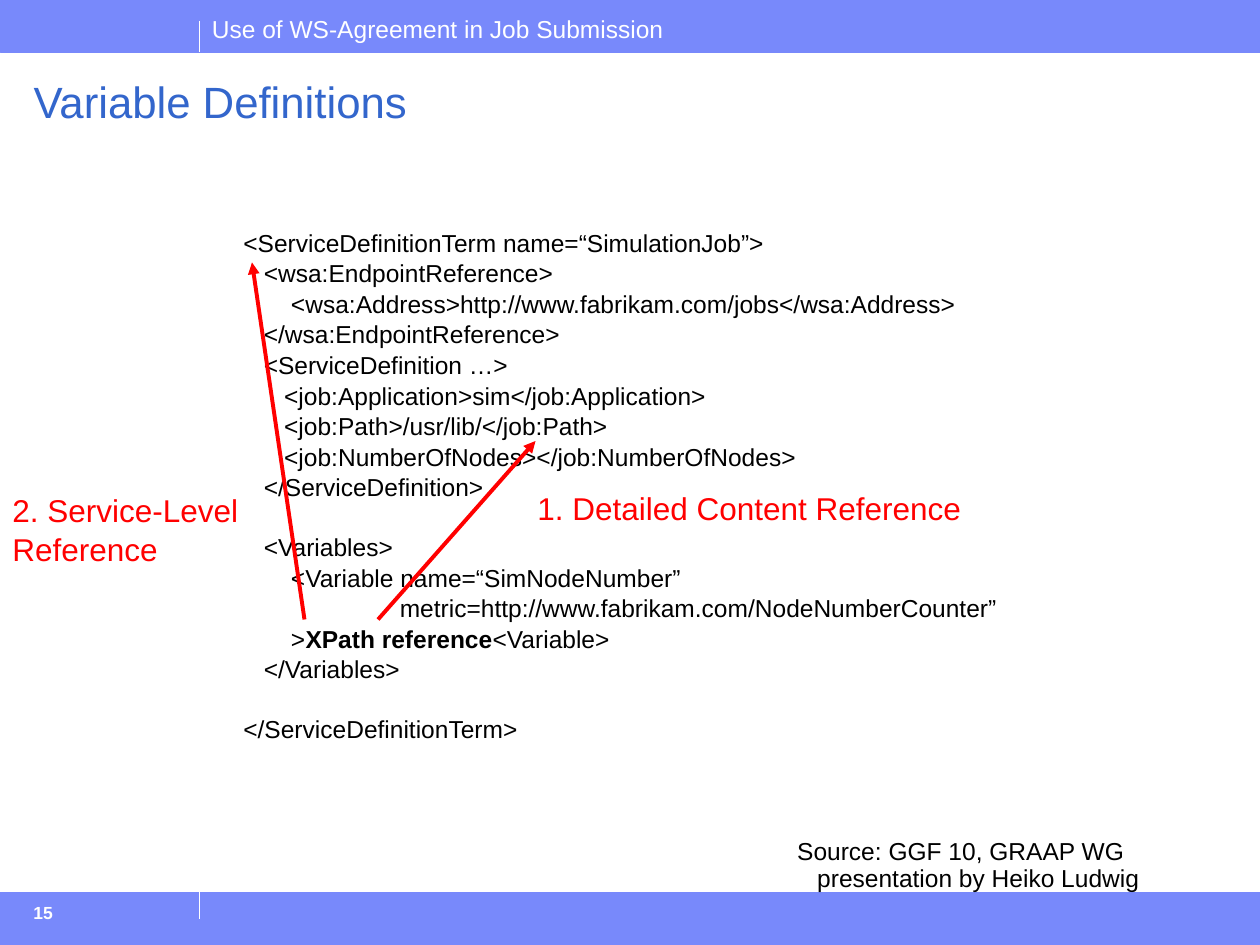
from typing import NamedTuple

from lxml import etree
from pptx import Presentation
from pptx import util as u
from pptx.dml.color import RGBColor
from pptx.enum import shapes, text
from pptx.oxml.ns import qn

BLUE = RGBColor(0x78, 0x89, 0xFB)
TITLE = RGBColor(0x33, 0x66, 0xCC)
RED = RGBColor(0xFF, 0, 0)
BLACK = RGBColor(0, 0, 0)
WHITE = RGBColor(0xFF, 0xFF, 0xFF)
FONT = "Arial"
CELL = u.Inches(1) // 12  # grid of 120 columns by 90 rows
COLS, ROWS, BAND, RULE = 120, 90, 5, 19
LEAD = 1.045


class Area(NamedTuple):
    col: float
    row: float
    wide: float
    high: float


class Line(NamedTuple):
    start: tuple
    end: tuple
    color: RGBColor
    width: float
    arrow: bool


class Label(NamedTuple):
    words: str
    area: Area
    style: dict


CODE = """<ServiceDefinitionTerm name=“SimulationJob”>
   <wsa:EndpointReference>
       <wsa:Address>http://www.fabrikam.com/jobs</wsa:Address>
   </wsa:EndpointReference>
   <ServiceDefinition …>
      <job:Application>sim</job:Application>
      <job:Path>/usr/lib/</job:Path>
      <job:NumberOfNodes></job:NumberOfNodes>
   </ServiceDefinition>

   <Variables>
       <Variable name=“SimNodeNumber”
                       metric=http://www.fabrikam.com/NodeNumberCounter”
       >**XPath reference**<Variable>
   </Variables>

</ServiceDefinitionTerm>"""

BANDS = [Area(0, ROWS - BAND, COLS, BAND), Area(0, 0, COLS, BAND)]
RULES = [
    Line((RULE, 2), (RULE, BAND), WHITE, 0.75, False),
    Line((RULE, ROWS - BAND), (RULE, 87.5), WHITE, 0.75, False),
]
ARROWS = [
    Line((36, 59), (51, 42), RED, 2.25, True),
    Line((29, 59), (24, 25), RED, 2.25, True),
]
LABELS = [
    Label("Use of WS-Agreement in Job Submission", Area(RULE, 0.75, 74, 4),
          dict(color=WHITE)),
    Label(CODE, Area(22, 21, 84, 49), dict(lead=LEAD)),
    Label("1. Detailed Content Reference", Area(50, 46, 42.75, 4.75),
          dict(size=18, color=RED, wrap=False)),
    Label("2. Service-Level\nReference", Area(0, 46, 23.9, 8.4),
          dict(size=18, color=RED, wrap=False, lead=LEAD)),
    Label("Source: GGF 10, GRAAP WG presentation by Heiko Ludwig",
          Area(69, 79.2, 45, 6.4),
          dict(lead=0.92, align=text.PP_ALIGN.CENTER, hang=0.28,
               pad=(0.11, 0.06))),
    Label("15", Area(2, 85.3, 13.2, 4.2),
          dict(size=10, color=WHITE, bold=True)),
]


def place(area: Area) -> list:
    return [round(part * CELL) for part in area]


def write(frame, words: str, *, size=14, color=BLACK, bold=False, wrap=True,
          lead=1.0, align=text.PP_ALIGN.LEFT, hang=0, pad=(0.1, 0.05)) -> None:
    """Fill a frame; ** toggles bold and an empty line becomes a gap."""
    frame.word_wrap = wrap
    frame.auto_size = text.MSO_AUTO_SIZE.NONE
    frame.vertical_anchor = text.MSO_ANCHOR.TOP
    frame.margin_left = frame.margin_right = u.Inches(pad[0])
    frame.margin_top = frame.margin_bottom = u.Inches(pad[1])
    para, gap = None, 0
    for row in words.split("\n"):
        if not row:
            gap = size * 1.2
            continue
        para = frame.add_paragraph() if para else frame.paragraphs[0]
        para.alignment, para.line_spacing = align, lead
        para.space_before, gap = u.Pt(gap), 0
        if hang:
            props = para._p.get_or_add_pPr()
            props.set("marL", str(u.Inches(hang)))
            props.set("indent", str(-u.Inches(hang)))
        for turn, part in enumerate(row.split("**")):
            run = para.add_run()
            run.text = part
            run.font.name, run.font.size = FONT, u.Pt(size)
            run.font.bold = bold or turn % 2 == 1
            run.font.color.rgb = color


def band(slide, area: Area) -> None:
    bar = slide.shapes.add_shape(shapes.MSO_SHAPE.RECTANGLE, *place(area))
    bar.shadow.inherit = False
    bar.fill.solid()
    bar.fill.fore_color.rgb = bar.line.color.rgb = BLUE
    bar.line.width = u.Pt(0.25)


def draw(slide, line: Line) -> None:
    ends = [round(spot * CELL) for spot in line.start + line.end]
    link = slide.shapes.add_connector(shapes.MSO_CONNECTOR.STRAIGHT, *ends)
    link.line.color.rgb = line.color
    link.line.width = u.Pt(line.width)
    if line.arrow:
        stroke = link.line._get_or_add_ln()
        etree.SubElement(stroke, qn("a:tailEnd"), type="triangle")
    etree.SubElement(link._element.spPr, qn("a:effectLst"))


def label(slide, item: Label) -> None:
    box = slide.shapes.add_textbox(*place(item.area))
    write(box.text_frame, item.words, **item.style)


def main() -> None:
    deck = Presentation()
    deck.slide_width, deck.slide_height = COLS * CELL, ROWS * CELL
    slide = deck.slides.add_slide(deck.slide_layouts[5])
    for area in BANDS:
        band(slide, area)
    for line in RULES:
        draw(slide, line)
    head = slide.shapes.title
    head.left, head.top, head.width, head.height = place(Area(2, 7.1, 113, 6.6))
    write(head.text_frame, "Variable Definitions", size=25, color=TITLE, lead=0.9)
    for item in LABELS:
        label(slide, item)
    for line in ARROWS:
        draw(slide, line)
    deck.save("out.pptx")


if __name__ == "__main__":
    main()
